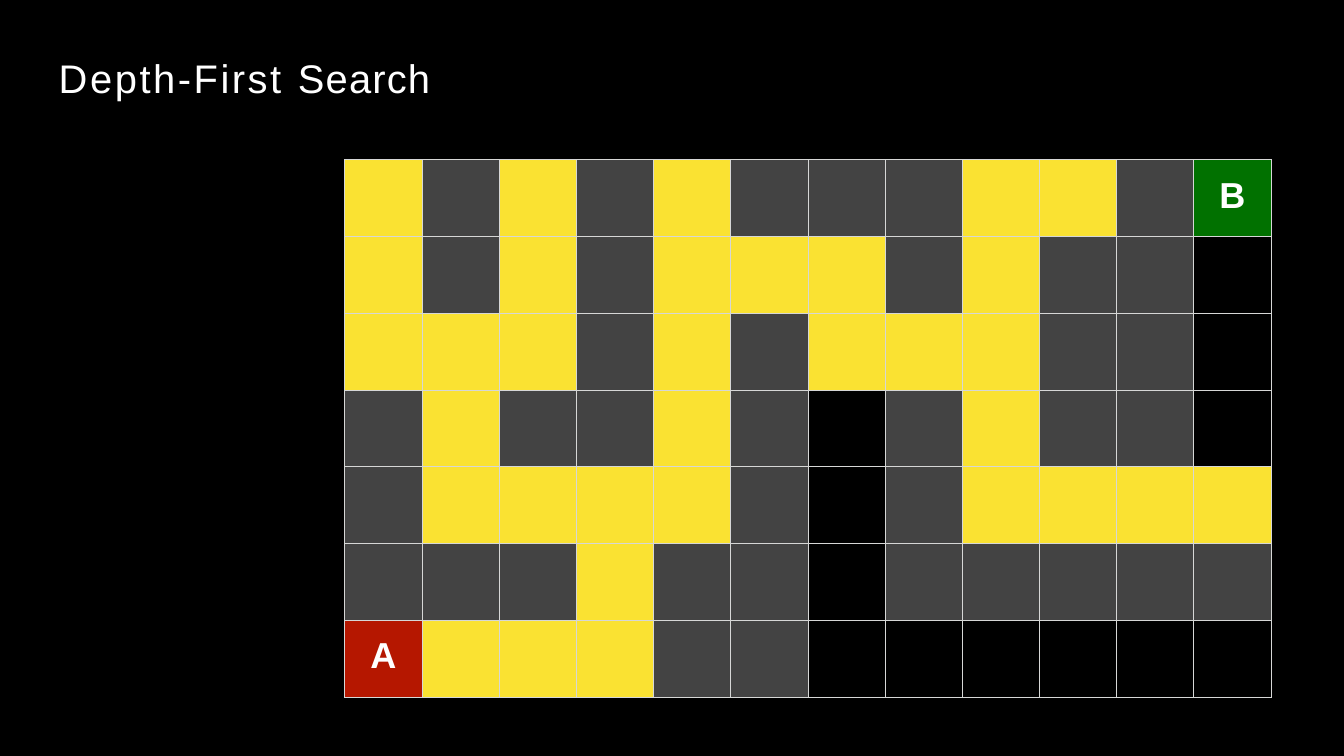
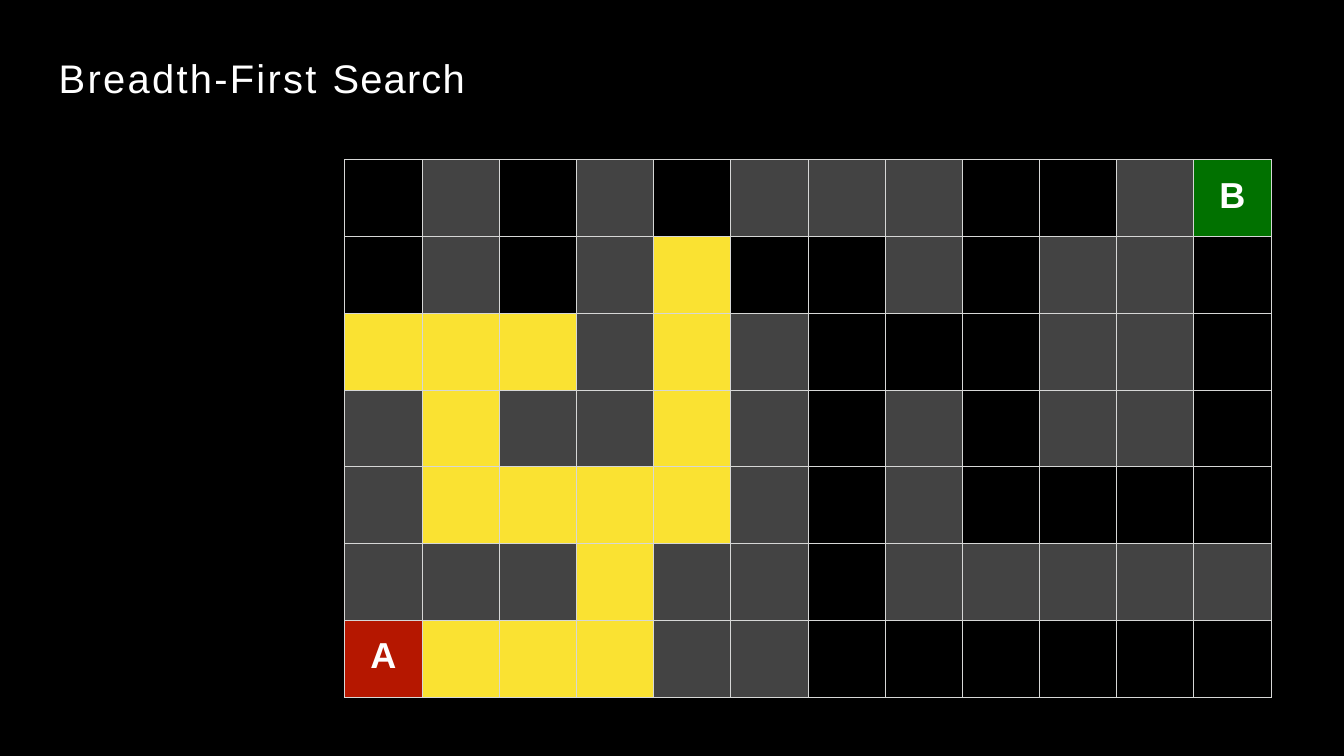
import pptx
import pptx.dml.color
import pptx.enum.text
import pptx.util
from lxml import etree
from pptx.oxml.ns import qn

RGBColor = pptx.dml.color.RGBColor
BLACK = RGBColor(0x00, 0x00, 0x00)
WHITE = RGBColor(0xFF, 0xFF, 0xFF)
GRAY = RGBColor(0x43, 0x43, 0x43)
YELLOW = RGBColor(0xFA, 0xE2, 0x32)
RED = RGBColor(0xB5, 0x17, 0x00)
GREEN = RGBColor(0x01, 0x71, 0x00)
BORDER = RGBColor(0xD6, 0xD7, 0xD6)

FONT = "Arial"
CELL_COLORS = {"#": GRAY, ".": BLACK, "A": RED, "B": GREEN}
MAZE = [
    ".#.#.###..#B",
    ".#.#...#.##.",
    "...#.#...##.",
    "#.##.#.#.##.",
    "#....#.#....",
    "###.##.#####",
    "A...##......",
]

# Explored columns, one tuple per maze row
DEPTH_FIRST = [
    (0, 2, 4, 8, 9),
    (0, 2, 4, 5, 6, 8),
    (0, 1, 2, 4, 6, 7, 8),
    (1, 4, 8),
    (1, 2, 3, 4, 8, 9, 10, 11),
    (3,),
    (1, 2, 3),
]
BREADTH_FIRST = [
    (),
    (4,),
    (0, 1, 2, 4),
    (1, 4),
    (1, 2, 3, 4),
    (3,),
    (1, 2, 3),
]


class MazeDeck:
    def __init__(self):
        self.presentation = pptx.Presentation()
        self.presentation.slide_width = pptx.util.Inches(21.99)
        self.presentation.slide_height = pptx.util.Inches(12.37)
        background = self.presentation.slide_master.background.fill
        background.solid()
        background.fore_color.rgb = BLACK
        self.slide = None

    def area(self, left, top, width, height):
        """Turn percentages of the slide's size into lengths."""
        across = self.presentation.slide_width / 100
        down = self.presentation.slide_height / 100
        return (int(left * across), int(top * down),
                int(width * across), int(height * down))

    def add_slide(self):
        layout = self.presentation.slide_layouts.get_by_name("Title Only")
        self.slide = self.presentation.slides.add_slide(layout)

    def style_run(self, run, size, color, bold=False):
        run.font.name = FONT
        run.font.size = pptx.util.Pt(size)
        run.font.bold = bold
        run.font.color.rgb = color

    def clear_margins(self, holder, top):
        holder.margin_left = holder.margin_right = holder.margin_bottom = 0
        holder.margin_top = pptx.util.Inches(top)
        holder.vertical_anchor = pptx.enum.text.MSO_ANCHOR.TOP

    def add_title(self, words, width):
        """Write the title from (text, letter spacing in points) pairs."""
        title = self.slide.shapes.title
        title.left, title.top, title.width, title.height = self.area(
            4.37, 6.95, width, 6.55)
        frame = title.text_frame
        frame.word_wrap = False
        frame.auto_size = pptx.enum.text.MSO_AUTO_SIZE.NONE
        self.clear_margins(frame, 0.01)
        paragraph = frame.paragraphs[0]
        paragraph.alignment = pptx.enum.text.PP_ALIGN.LEFT
        for text, spacing in words:
            run = paragraph.add_run()
            run.text = text
            self.style_run(run, 47, WHITE)
            run.font._element.set("spc", str(round(spacing * 100)))

    def add_maze(self, explored):
        table = self.slide.shapes.add_table(
            len(MAZE), len(MAZE[0]),
            *self.area(25.65, 21.1, 68.94, 71.14)).table
        table.first_row = table.horz_banding = False
        for row, marks in enumerate(MAZE):
            for column, mark in enumerate(marks):
                visited = column in explored[row]
                color = YELLOW if visited else CELL_COLORS[mark]
                self.format_cell(table.cell(row, column), color)
                if mark in "AB":
                    self.label_cell(table.cell(row, column), mark)

    def format_cell(self, cell, color):
        self.clear_margins(cell, 0.26)
        properties = cell._tc.get_or_add_tcPr()
        for side in ("a:lnL", "a:lnR", "a:lnT", "a:lnB"):
            line = etree.SubElement(properties, qn(side),
                                    w=str(pptx.util.Pt(1)))
            fill = etree.SubElement(line, qn("a:solidFill"))
            etree.SubElement(fill, qn("a:srgbClr"), val=str(BORDER))
        cell.fill.solid()
        cell.fill.fore_color.rgb = color

    def label_cell(self, cell, label):
        cell.text_frame.text = label
        paragraph = cell.text_frame.paragraphs[0]
        paragraph.alignment = pptx.enum.text.PP_ALIGN.CENTER
        self.style_run(paragraph.runs[0], 42.5, WHITE, bold=True)


def main():
    deck = MazeDeck()
    searches = [
        ("Depth-First ", 3, 27.74, DEPTH_FIRST),
        ("Breadth-First ", 2.7, 30.38, BREADTH_FIRST),
    ]
    for strategy, spacing, title_width, explored in searches:
        deck.add_slide()
        deck.add_title([(strategy, spacing), ("Search", 1.4)], title_width)
        deck.add_maze(explored)
    deck.presentation.save("out.pptx")


if __name__ == "__main__":
    main()
